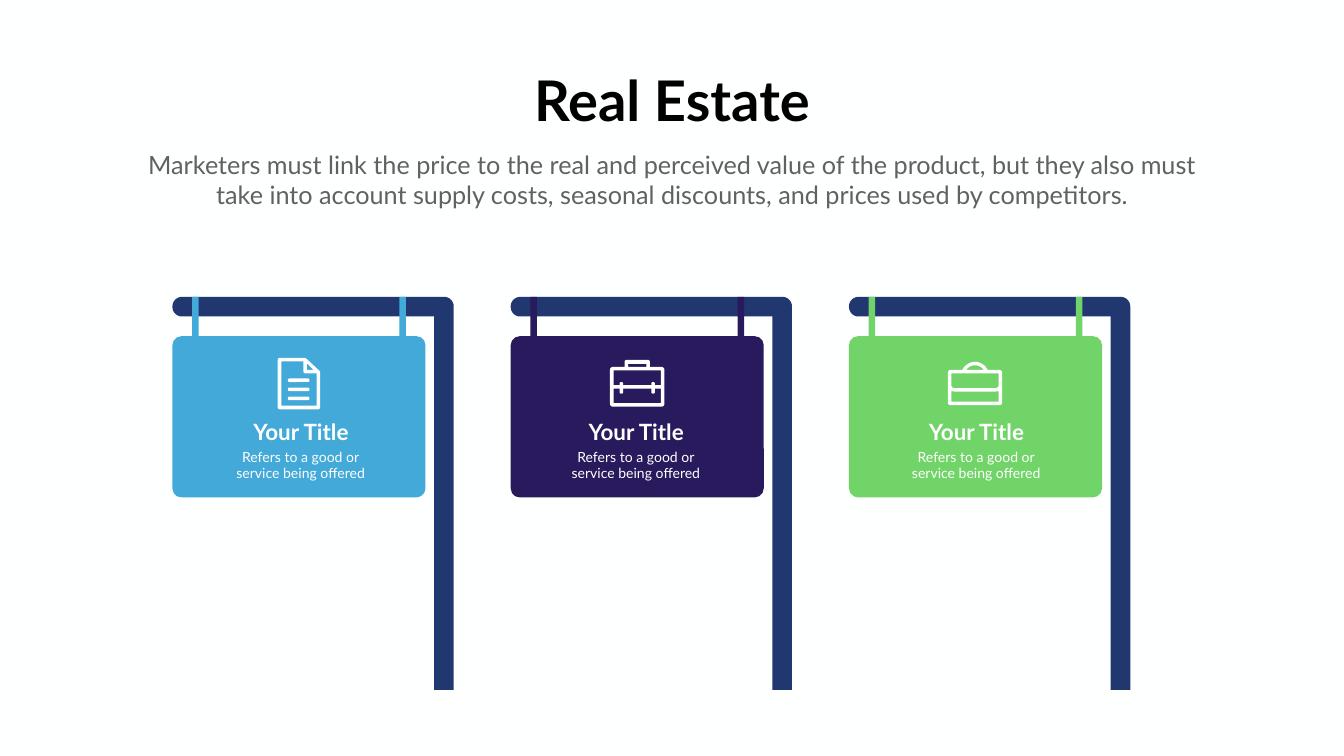
import math

import pptx
import pptx.dml.color
import pptx.enum.shapes
import pptx.enum.text
import pptx.util

Inches = pptx.util.Inches
PRESET = pptx.enum.shapes.MSO_SHAPE

THEME = {
    "font": "Lato",
    "background": "FEFFFF",
    "heading": "000000",
    "intro": "616161",
    "post": "203770",
    "on_sign": "FFFFFF",
    "heading_size": 80,
    "intro_size": 36,
    "title_size": 32,
    "caption_size": 20,
}

HEADING = "Real Estate"
INTRO = (
    "Marketers must link the price to the real and perceived value of the product, "
    "but they also must take into account supply costs, seasonal discounts, "
    "and prices used by competitors."
)

DOCUMENT = [
    [(0, 0, 0.04), (0.55, 0), (0.84, 0.27), (0.84, 1.02, 0.04), (0, 1.02, 0.04)],
    [(0.07, 0.07), (0.51, 0.07), (0.51, 0.31, 0.04), (0.77, 0.31), (0.77, 0.95), (0.07, 0.95)],
    [(0.58, 0.11), (0.71, 0.24), (0.58, 0.24)],
]
BRIEFCASE = [
    [(0, 0.14, 0.06), (0.29, 0.14), (0.29, 0, 0.04), (0.79, 0, 0.04), (0.79, 0.14),
     (1.08, 0.14, 0.06), (1.08, 0.93, 0.06), (0, 0.93, 0.06)],
    [(0.36, 0.08), (0.72, 0.08), (0.72, 0.14), (0.36, 0.14)],
    [(0.07, 0.21), (1.01, 0.21), (1.01, 0.5), (0.89, 0.5), (0.89, 0.44, 0.03),
     (0.82, 0.44, 0.03), (0.82, 0.5), (0.26, 0.5), (0.26, 0.44, 0.03),
     (0.19, 0.44, 0.03), (0.19, 0.5), (0.07, 0.5)],
    [(0.07, 0.57), (0.19, 0.57), (0.19, 0.67, 0.03), (0.26, 0.67, 0.03), (0.26, 0.57),
     (0.82, 0.57), (0.82, 0.67, 0.03), (0.89, 0.67, 0.03), (0.89, 0.57),
     (1.01, 0.57), (1.01, 0.86), (0.07, 0.86)],
]
HANDBAG = [
    [(0, 0.16, 0.06), (0.29, 0.16), (0.36, 0, 0.17), (0.72, 0, 0.17), (0.79, 0.16),
     (1.08, 0.16, 0.06), (1.08, 0.86, 0.06), (0, 0.86, 0.06)],
    [(0.37, 0.16), (0.42, 0.07, 0.1), (0.66, 0.07, 0.1), (0.71, 0.16)],
    [(0.07, 0.23), (1.01, 0.23), (1.01, 0.52, 0.06), (0.07, 0.52, 0.06)],
    [(0.07, 0.58), (0.14, 0.59), (0.94, 0.59), (1.01, 0.58), (1.01, 0.79), (0.07, 0.79)],
]
POST = [
    [(0, 0, 0.19), (5.58, 0, 0.19), (5.58, 7.8), (5.19, 7.8), (5.19, 0.39), (0, 0.39, 0.19)],
]

CAPTION = "Refers to a good or\nservice being offered"
SIGNS = [
    {"title": "Your Title", "caption": CAPTION, "color": "42A9D8", "text_center": 2.55,
     "icon": DOCUMENT, "icon_at": (2.09, 1.21), "icon_lines": (0.41, 0.59, 0.77)},
    {"title": "Your Title", "caption": CAPTION, "color": "281A5C", "text_center": 2.49,
     "icon": BRIEFCASE, "icon_at": (1.97, 1.25), "icon_lines": ()},
    {"title": "Your Title", "caption": CAPTION, "color": "71D468", "text_center": 2.53,
     "icon": HANDBAG, "icon_at": (1.96, 1.29), "icon_lines": ()},
]
SIGNS_LEFT, SIGNS_TOP, SIGN_PITCH = 3.42, 5.89, 6.71
HANGER_OFFSETS = (0.39, 4.5)


def rgb(value):
    return pptx.dml.color.RGBColor.from_string(value)


def paint(shape, color):
    shape.shadow.inherit = False
    shape.fill.solid()
    shape.fill.fore_color.rgb = rgb(color)
    shape.line.fill.background()


def add_block(slide, left, top, width, height, color, radius=0):
    preset = PRESET.ROUNDED_RECTANGLE if radius else PRESET.RECTANGLE
    block = slide.shapes.add_shape(
        preset, Inches(left), Inches(top), Inches(width), Inches(height))
    if radius:
        block.adjustments[0] = radius / min(width, height)
    paint(block, color)


def round_corners(corners, steps=8):
    points = []
    for i, (x, y, *radius) in enumerate(corners):
        if not radius:
            points.append((x, y))
            continue
        ends = []
        for near in (corners[i - 1], corners[(i + 1) % len(corners)]):
            share = radius[0] / math.dist((x, y), near[:2])
            ends.append(((near[0] - x) * share, (near[1] - y) * share))
        (ax, ay), (bx, by) = ends
        for step in range(steps + 1):
            angle = math.pi / 2 * step / steps
            to_a, to_b = 1 - math.sin(angle), 1 - math.cos(angle)
            points.append((x + ax * to_a + bx * to_b, y + ay * to_a + by * to_b))
    return points


def add_outline(slide, left, top, contours, color):
    builder = None
    for contour in contours:
        points = [(Inches(left + x), Inches(top + y)) for x, y in round_corners(contour)]
        if builder is None:
            builder = slide.shapes.build_freeform(*points[0], scale=1.0)
        else:
            builder.move_to(*points[0])
        builder.add_line_segments(points[1:], close=True)
    paint(builder.convert_to_shape(), color)


def add_text(slide, text, *, left, top, width, height, size, color, bold=False, wrap=True):
    box = slide.shapes.add_textbox(Inches(left), Inches(top), Inches(width), Inches(height))
    frame = box.text_frame
    frame.word_wrap = wrap
    frame.auto_size = pptx.enum.text.MSO_AUTO_SIZE.SHAPE_TO_FIT_TEXT
    frame.text = text
    for paragraph in frame.paragraphs:
        paragraph.alignment = pptx.enum.text.PP_ALIGN.CENTER
        for run in paragraph.runs:
            run.font.name = THEME["font"]
            run.font.size = pptx.util.Pt(size)
            run.font.bold = bold
            run.font.color.rgb = rgb(color)


def add_sign(slide, sign, left, top):
    add_outline(slide, left, top, POST, THEME["post"])
    for offset in HANGER_OFFSETS:
        add_block(slide, left + offset, top, 0.13, 0.79, sign["color"])
    add_block(slide, left, top + 0.78, 5.02, 3.2, sign["color"], radius=0.18)

    icon_left, icon_top = left + sign["icon_at"][0], top + sign["icon_at"][1]
    add_outline(slide, icon_left, icon_top, sign["icon"], THEME["on_sign"])
    for offset in sign["icon_lines"]:
        add_block(slide, icon_left + 0.2, icon_top + offset, 0.43, 0.07,
                  THEME["on_sign"], radius=0.03)

    center = left + sign["text_center"]
    add_text(slide, sign["title"], left=center - 1.15, top=top + 2.35, width=2.3, height=0.64,
             size=THEME["title_size"], color=THEME["on_sign"], bold=True)
    add_text(slide, sign["caption"], left=center - 1.39, top=top + 2.95, width=2.77, height=0.77,
             size=THEME["caption_size"], color=THEME["on_sign"])


def main():
    deck = pptx.Presentation()
    deck.slide_width, deck.slide_height = Inches(26.66), Inches(15)
    slide = deck.slides.add_slide(deck.slide_layouts[6])
    slide.background.fill.solid()
    slide.background.fill.fore_color.rgb = rgb(THEME["background"])

    add_text(slide, HEADING, left=10.42, top=1.26, width=5.82, height=1.45,
             size=THEME["heading_size"], color=THEME["heading"], bold=True, wrap=False)
    add_text(slide, INTRO, left=2.68, top=2.91, width=21.3, height=1.31,
             size=THEME["intro_size"], color=THEME["intro"])
    for i, sign in enumerate(SIGNS):
        add_sign(slide, sign, SIGNS_LEFT + i * SIGN_PITCH, SIGNS_TOP)

    deck.save("out.pptx")


if __name__ == "__main__":
    main()
